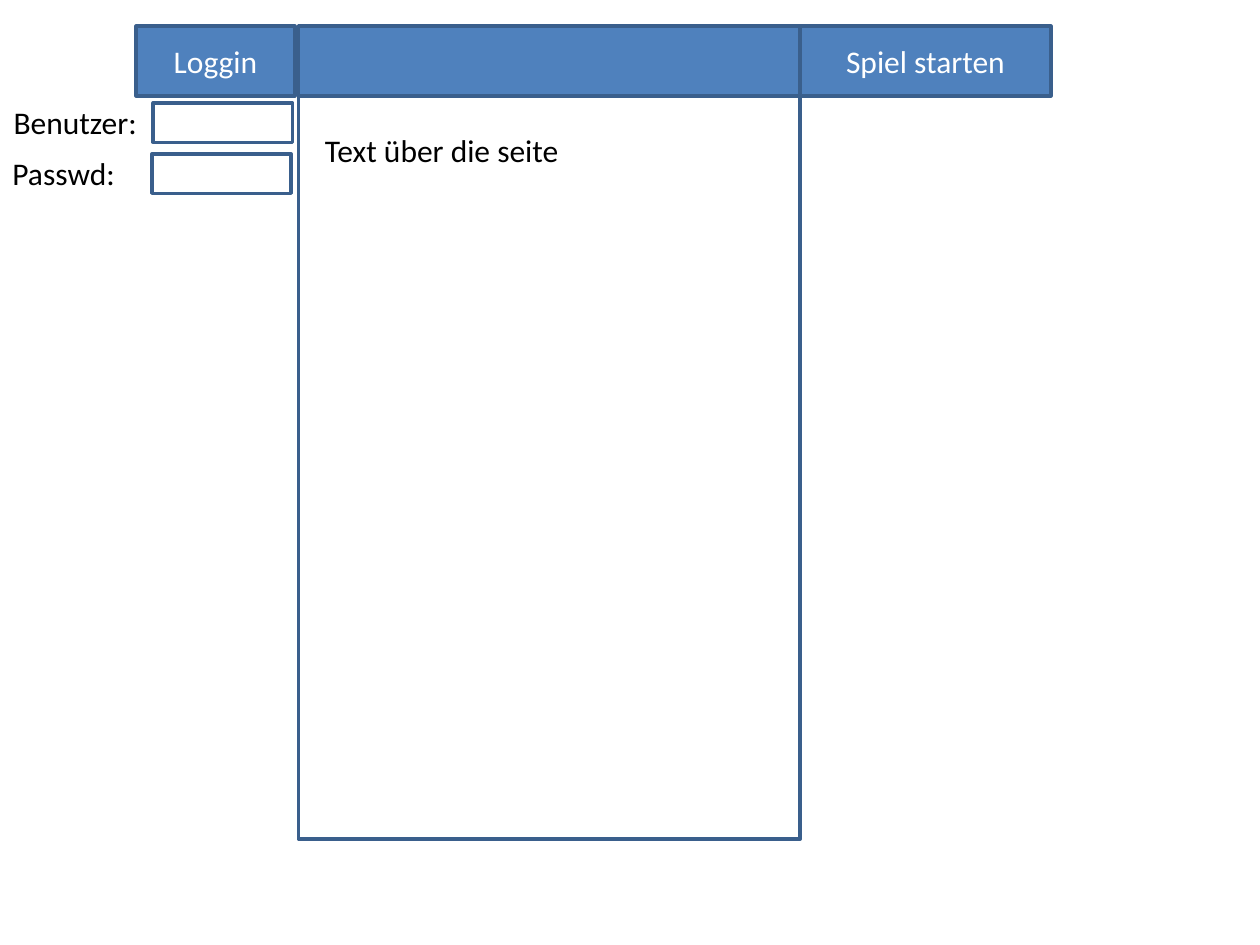
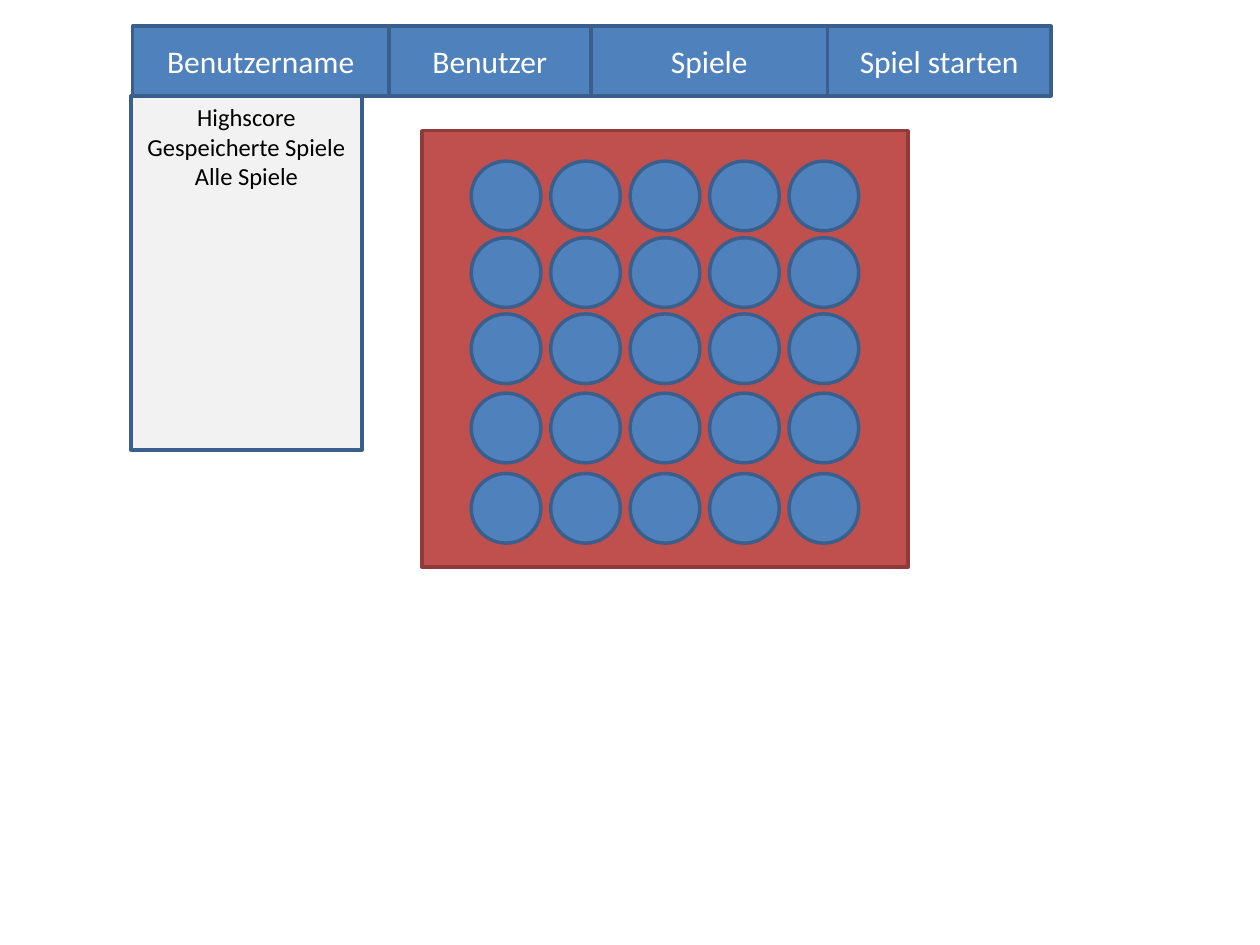
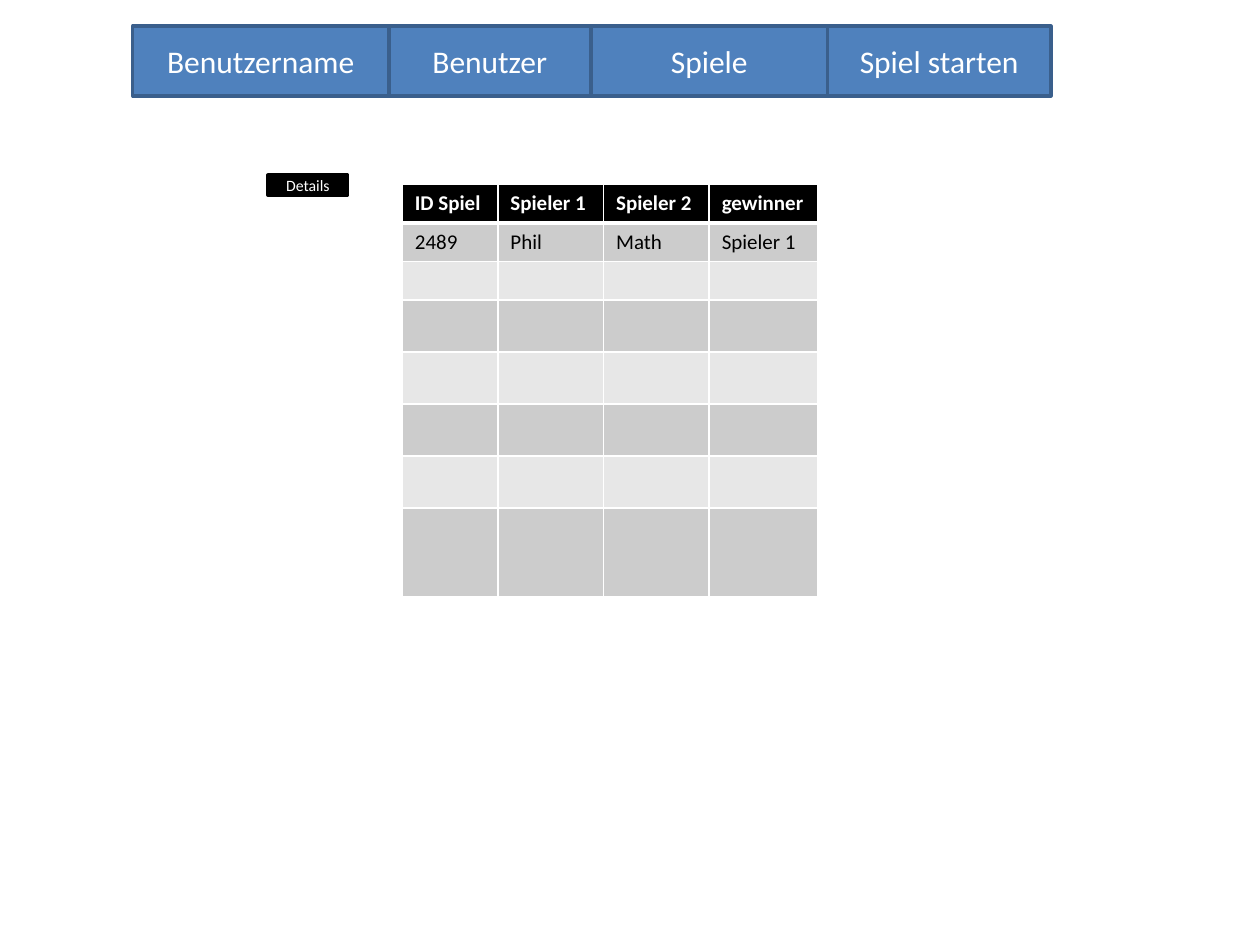
from dataclasses import dataclass

from lxml import etree
from pptx import Presentation
from pptx import util as u
from pptx.dml import color
from pptx.enum import shapes, text
from pptx.oxml import ns

Pt = u.Pt


@dataclass(frozen=True)
class Theme:
    font: str = "Calibri"
    blue: str = "4F81BD"
    blue_line: str = "3A5F8C"
    red: str = "C0504D"
    red_line: str = "8E3B39"
    panel: str = "F2F2F2"
    white: str = "FFFFFF"
    black: str = "000000"
    band_dark: str = "CCCCCC"
    band_light: str = "E7E7E7"
    label: int = 18
    menu: int = 14
    cell: int = 12
    button: int = 9


theme = Theme()
RECTANGLE = shapes.MSO_SHAPE.RECTANGLE
OVAL = shapes.MSO_SHAPE.OVAL
MIDDLE, TOP = text.MSO_ANCHOR.MIDDLE, text.MSO_ANCHOR.TOP
CENTER, LEFT = text.PP_ALIGN.CENTER, text.PP_ALIGN.LEFT


def write(frame, lines, size, ink, align=LEFT, bold=False):
    """Fill a text frame with one formatted paragraph per line."""
    formats = {"name": theme.font, "size": Pt(size), "bold": bold}
    for index, line in enumerate(lines):
        paragraph = frame.add_paragraph() if index else frame.paragraphs[0]
        paragraph.alignment = align
        run = paragraph.add_run()
        run.text = line
        for name, value in formats.items():
            setattr(run.font, name, value)
        run.font.color.rgb = color.RGBColor.from_string(ink)


def add_box(slide, box, fill=theme.blue, line=theme.blue_line, lines=(),
            size=theme.label, ink=theme.white, anchor=MIDDLE, kind=RECTANGLE):
    """Draw an outlined shape, with centred text if there is any."""
    shape = slide.shapes.add_shape(kind, *map(Pt, box))
    shape.shadow.inherit = False
    if fill:
        shape.fill.solid()
        shape.fill.fore_color.rgb = color.RGBColor.from_string(fill)
    else:
        shape.fill.background()
    shape.line.color.rgb = color.RGBColor.from_string(line)
    shape.line.width = Pt(2)
    shape.text_frame.vertical_anchor = anchor
    write(shape.text_frame, lines, size, ink, CENTER)


presentation = Presentation()
presentation.slide_width, presentation.slide_height = Pt(720), Pt(540)

# Navigation bar of each slide: label, left, width
BAR_TOP, BAR_HEIGHT = 15, 39.8
BAR_BOTTOM = BAR_TOP + BAR_HEIGHT
guest_bar = [("Loggin", 77.8, 90.7), ("", 170.6, 286.6),
             ("Spiel starten", 457.2, 143.3)]
user_bar = [("Benutzername", 75.8, 146.4), ("Benutzer", 222.2, 115.4),
            ("Spiele", 337.6, 135.4), ("Spiel starten", 473, 127.5)]

slides = []
for bar in (guest_bar, user_bar, user_bar):
    slide = presentation.slides.add_slide(presentation.slide_layouts[6])
    slides.append(slide)
    for label, left, width in bar:
        add_box(slide, (left, BAR_TOP, width, BAR_HEIGHT),
                lines=[label] if label else [])
login_slide, game_slide, results_slide = slides

# Slide 1: content frame, login fields and their labels
add_box(login_slide, (170.6, BAR_BOTTOM, 286.6, 424.8), fill=None)
for left, top in ((87.6, 58.8), (86.8, 87.9)):
    add_box(login_slide, (left, top, 79.6, 22.6), fill=theme.white)
for label, left, top, width in (("Text über die seite", 178.6, 71.5, 278.6),
                                ("Benutzer:", 0.7, 55.5, 102.2),
                                ("Passwd:", 0, 84.7, 102.2)):
    text_box = login_slide.shapes.add_textbox(Pt(left), Pt(top), Pt(width), Pt(29))
    text_box.text_frame.word_wrap = True
    text_box.text_frame.auto_size = text.MSO_AUTO_SIZE.SHAPE_TO_FIT_TEXT
    write(text_box.text_frame, [label], theme.label, theme.black)

# Slide 2: open menu
add_box(game_slide, (74.8, BAR_BOTTOM, 132, 202.3), fill=theme.panel,
        lines=["Highscore", "Gespeicherte Spiele", "Alle Spiele"],
        size=theme.menu, ink=theme.black, anchor=TOP)

# Slide 2: game board, five by five pieces
add_box(game_slide, (241, 74.7, 278, 249.3), theme.red, theme.red_line)
PIECE, FIRST_LEFT, COLUMN_STEP = 39.8, 269.3, 45.4
for top in (92.1, 135.9, 179.4, 224.7, 270.6):
    for column in range(5):
        add_box(game_slide, (FIRST_LEFT + column * COLUMN_STEP, top, PIECE, PIECE),
                kind=OVAL)

# Slide 3: table of games
rows = [("ID Spiel", "Spieler 1", "Spieler 2", "gewinner"),
        ("2489", "Phil", "Math", "Spieler 1")] + [("",) * 4] * 6
row_heights = [22, 22, 22] + [29.7] * 4 + [51]
column_widths = [54.6, 60.4, 60.4, 62]
table = results_slide.shapes.add_table(
    len(rows), len(column_widths), Pt(229.9), Pt(105.5),
    Pt(sum(column_widths)), Pt(sum(row_heights))).table
for column, width in zip(table.columns, column_widths):
    column.width = Pt(width)
for row, height in zip(table.rows, row_heights):
    row.height = Pt(height)

for row_index, values in enumerate(rows):
    header = row_index == 0
    band = theme.band_dark if row_index % 2 else theme.band_light
    borders = {"a:lnL": 1, "a:lnR": 1, "a:lnT": 3 if row_index == 1 else 1,
               "a:lnB": 3 if header else 1}
    for column_index, value in enumerate(values):
        cell = table.cell(row_index, column_index)
        cell.fill.solid()
        cell.fill.fore_color.rgb = color.RGBColor.from_string(
            theme.black if header else band)
        if value:
            write(cell.text_frame, [value], theme.cell,
                  theme.white if header else theme.black, bold=header)
        else:
            # Empty cells keep the small type size, so that rows stay low
            etree.SubElement(cell.text_frame.paragraphs[0]._p,
                             ns.qn("a:endParaRPr"), sz=str(theme.cell * 100))
        # White cell borders, which come before the fill
        properties = cell._tc.get_or_add_tcPr()
        for position, (tag, width) in enumerate(borders.items()):
            border = etree.Element(ns.qn(tag), w=str(int(Pt(width))))
            solid = etree.SubElement(border, ns.qn("a:solidFill"))
            etree.SubElement(solid, ns.qn("a:srgbClr"), val=theme.white)
            properties.insert(position, border)

# Slide 3: details button
add_box(results_slide, (153.2, 100.1, 45.4, 11.5), theme.black, theme.black,
        ["Details"], theme.button)

presentation.save("out.pptx")
